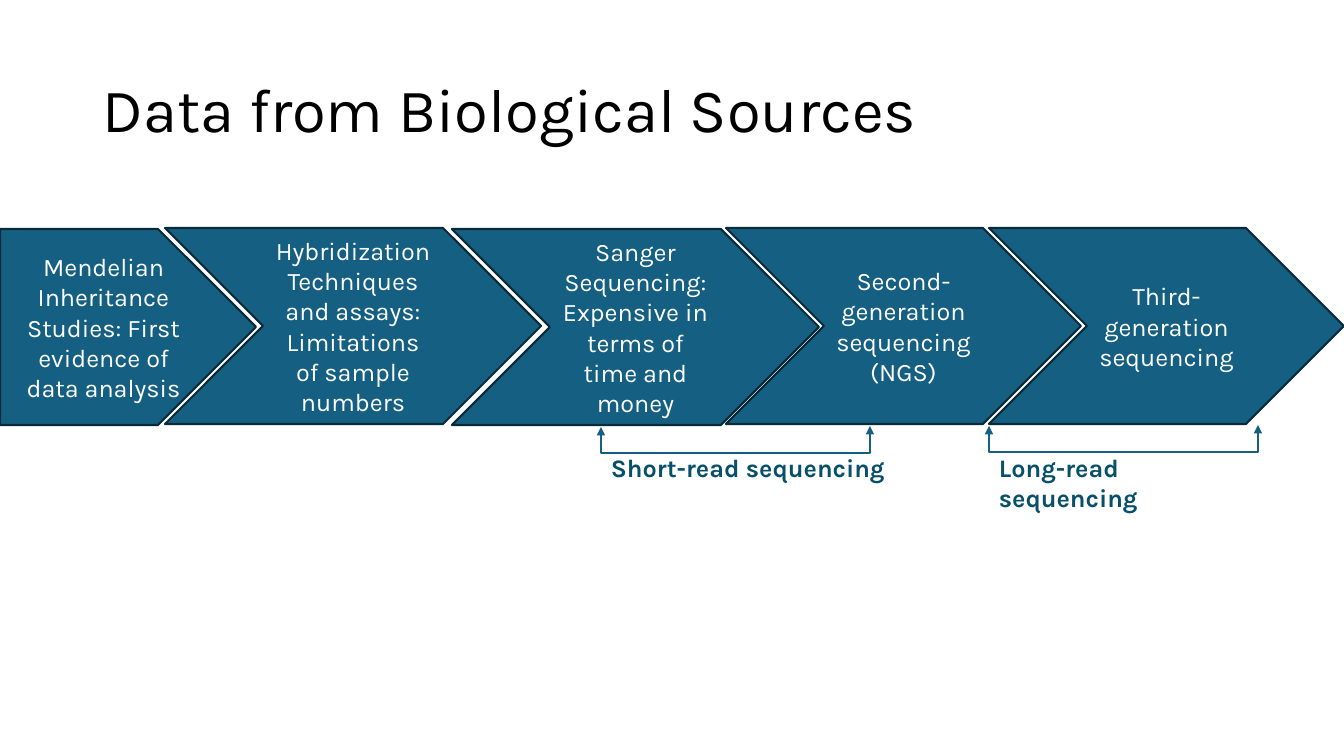
from dataclasses import dataclass
from lxml import etree
from pptx import Presentation
from pptx import util as u
from pptx.dml.color import RGBColor
from pptx.enum import shapes, text
from pptx.oxml import ns

TITLE = ("Data from Biological Sources", (93, 40, 1159, 146))
STEPS = [
    ("Mendelian Inheritance Studies: First evidence of data analysis", 0, 229, 256),
    ("Hybridization Techniques and assays: Limitations of sample numbers", 165, 228, 376),
    ("Sanger Sequencing: Expensive in terms of time and money", 452, 229, 367),
    ("Second-generation sequencing (NGS)", 726, 228, 355),
    ("Third-generation sequencing", 989, 228, 355),
]
READS = [
    ("Short-read sequencing", 601, 427, 301),
    ("Long-read sequencing", 989, 426, 278),
]
STEP_H = 196
LABEL_Y, LABEL_H = 447, 40
SPAN, DROP = 270, 26


@dataclass(frozen=True)
class Theme:
    font: str = "Karla"
    fill: str = "156082"
    edge: str = "092A39"
    label: str = "084F6A"
    light: str = "FFFFFF"
    dark: str = "000000"
    head: int = 44
    body: int = 18
    line: float = 1.5


T = Theme()


def px(n):
    return u.Emu(round(n * 12192000 / 1344))


def rgb(code):
    return RGBColor.from_string(code)


def write(shape, words, size, color, bold=False, align=None, anchor=None):
    frame = shape.text_frame
    frame.word_wrap = True
    if anchor is not None:
        frame.vertical_anchor = anchor
    para = frame.paragraphs[0]
    para.alignment = align
    run = para.add_run()
    run.text = words
    font = run.font
    font.name, font.size, font.bold = T.font, u.Pt(size), bold
    font.color.rgb = rgb(color)
    return para


def box(slide, *area):
    return slide.shapes.add_textbox(*map(px, area))


def step(slide, kind, words, x, y, w):
    shape = slide.shapes.add_shape(kind, *map(px, (x, y, w, STEP_H)))
    shape.shadow.inherit = False
    shape.fill.solid()
    shape.fill.fore_color.rgb = rgb(T.fill)
    shape.line.color.rgb = rgb(T.edge)
    shape.line.width = u.Pt(T.line)
    write(shape, words, T.body, T.light,
          align=text.PP_ALIGN.CENTER, anchor=text.MSO_ANCHOR.MIDDLE)


def bracket(slide, x, y):
    half = SPAN // 2
    ends = (x + half, y + half - 1, x + half - 1, y - half)
    line = slide.shapes.add_connector(shapes.MSO_CONNECTOR.ELBOW, *map(px, ends))
    line.line.color.rgb = rgb(T.fill)
    line.line.width = u.Pt(T.line)
    props = line._element.spPr
    props.find(ns.qn("a:xfrm")).set("rot", "5400000")
    guides = props.find(ns.qn("a:prstGeom")).find(ns.qn("a:avLst"))
    etree.SubElement(guides, ns.qn("a:gd"), name="adj1", fmla=f"val {-DROP * 100000}")
    stroke = props.find(ns.qn("a:ln"))
    for end in ("a:headEnd", "a:tailEnd"):
        etree.SubElement(stroke, ns.qn(end), type="triangle")
    etree.SubElement(props, ns.qn("a:effectLst"))


def main():
    deck = Presentation()
    deck.slide_width, deck.slide_height = px(1344), px(756)
    slide = deck.slides.add_slide(deck.slide_layouts[6])

    words, area = TITLE
    para = write(box(slide, *area), words, T.head, T.dark,
                 anchor=text.MSO_ANCHOR.MIDDLE)
    para.line_spacing = 0.9

    for i, item in enumerate(STEPS):
        kind = shapes.MSO_SHAPE.CHEVRON if i else shapes.MSO_SHAPE.PENTAGON
        step(slide, kind, *item)

    for words, x, y, w in READS:
        label = box(slide, x, LABEL_Y, w, LABEL_H)
        write(label, words, T.body, T.label, bold=True)
        label.text_frame.auto_size = text.MSO_AUTO_SIZE.SHAPE_TO_FIT_TEXT
        bracket(slide, x, y)

    deck.save("out.pptx")


if __name__ == "__main__":
    main()
